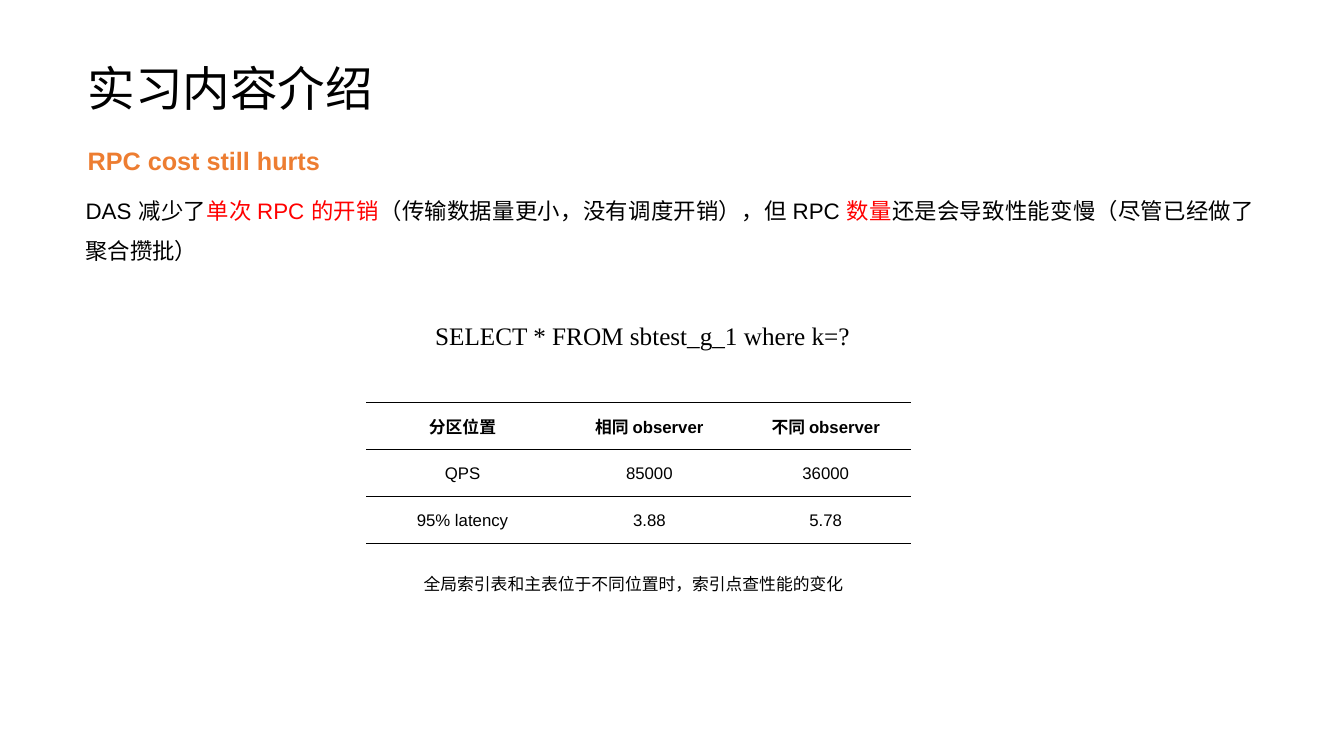
import pptx
import pptx.dml.color
import pptx.enum.text
import pptx.oxml
import pptx.oxml.ns
import pptx.util
from dataclasses import dataclass

PX = 9525
ALIGN = pptx.enum.text.PP_ALIGN
ANCHOR = pptx.enum.text.MSO_ANCHOR
AUTO_SIZE = pptx.enum.text.MSO_AUTO_SIZE


@dataclass(frozen=True)
class Theme:
    ink: str = "000000"
    accent: str = "ED7D31"
    alert: str = "FF0000"
    title_font: str = "Roboto"
    body_font: str = "Arial"
    query_font: str = "Times New Roman"
    title_size: int = 34
    heading_size: int = 18
    body_size: int = 16
    small_size: int = 12


theme = Theme()


def add_span(para, text, size, color=theme.ink, font=theme.body_font, bold=False):
    span = para.add_run()
    span.text = text
    span.font.size = pptx.util.Pt(size)
    span.font.name = font
    span.font.bold = bold
    span.font.color.rgb = pptx.dml.color.RGBColor.from_string(color)


def add_text(page, place, align, spacing):
    box = page.shapes.add_textbox(*[value * PX for value in place])
    box.text_frame.word_wrap = True
    box.text_frame.auto_size = AUTO_SIZE.SHAPE_TO_FIT_TEXT
    para = box.text_frame.paragraphs[0]
    para.alignment = align
    para.line_spacing = spacing
    return para


deck = pptx.Presentation()
deck.slide_width = 1280 * PX
deck.slide_height = 720 * PX
page = deck.slides.add_slide(deck.slide_layouts.get_by_name("Title Only"))

title = page.shapes.title
title.left, title.top, title.width, title.height = [value * PX for value in (74, 47, 1132, 72)]
title.text_frame.auto_size = AUTO_SIZE.NONE
title.text_frame.vertical_anchor = ANCHOR.MIDDLE
para = title.text_frame.paragraphs[0]
para.alignment = ALIGN.LEFT
add_span(para, "实习内容介绍", theme.title_size, font=theme.title_font)

para = add_text(page, (74, 119, 640, 49), ALIGN.LEFT, 1.5)
add_span(para, "RPC cost still hurts", theme.heading_size, theme.accent, bold=True)

para = add_text(page, (72, 170, 1132, 87), ALIGN.JUSTIFY, 1.5)
for text, color in [
    ("DAS 减少了", theme.ink),
    ("单次 RPC 的开销", theme.alert),
    ("（传输数据量更小，没有调度开销），但 RPC ", theme.ink),
    ("数量", theme.alert),
    ("还是会导致性能变慢（尽管已经做了聚合攒批）", theme.ink),
]:
    add_span(para, text, theme.body_size, color)

para = add_text(page, (292, 300, 640, 38), ALIGN.CENTER, 1.0)
add_span(para, "SELECT * FROM sbtest_g_1 where k=?", theme.heading_size, font=theme.query_font)

para = add_text(page, (394, 532, 1132, 36), ALIGN.JUSTIFY, 1.5)
add_span(para, "全局索引表和主表位于不同位置时，索引点查性能的变化", theme.small_size)

results = [
    ("分区位置", "相同 observer", "不同 observer"),
    ("QPS", "85000", "36000"),
    ("95% latency", "3.88", "5.78"),
]
column_widths = (183, 173, 163)
row_height = 45
table = page.shapes.add_table(
    len(results), len(column_widths), 349 * PX, 383 * PX,
    sum(column_widths) * PX, len(results) * row_height * PX,
).table
table.first_row = False
table.horz_banding = False
for column, width in zip(table.columns, column_widths):
    column.width = width * PX

borders = {
    "lnL": "<a:noFill/>",
    "lnR": "<a:noFill/>",
    "lnT": f'<a:solidFill><a:srgbClr val="{theme.ink}"/></a:solidFill>',
    "lnB": f'<a:solidFill><a:srgbClr val="{theme.ink}"/></a:solidFill>',
}
for row_index, values in enumerate(results):
    table.rows[row_index].height = row_height * PX
    for column_index, text in enumerate(values):
        cell = table.cell(row_index, column_index)
        cell.margin_left = cell.margin_right = cell.margin_top = PX
        cell.margin_bottom = 0
        cell.vertical_anchor = ANCHOR.MIDDLE
        cell.fill.background()
        properties = cell._tc.get_or_add_tcPr()
        for position, (side, paint) in enumerate(borders.items()):
            properties.insert(position, pptx.oxml.parse_xml(
                f'<a:{side} {pptx.oxml.ns.nsdecls("a")} w="{pptx.util.Pt(1)}">{paint}</a:{side}>'
            ))
        para = cell.text_frame.paragraphs[0]
        para.alignment = ALIGN.CENTER
        add_span(para, text, theme.small_size, bold=row_index == 0)

deck.save("out.pptx")
